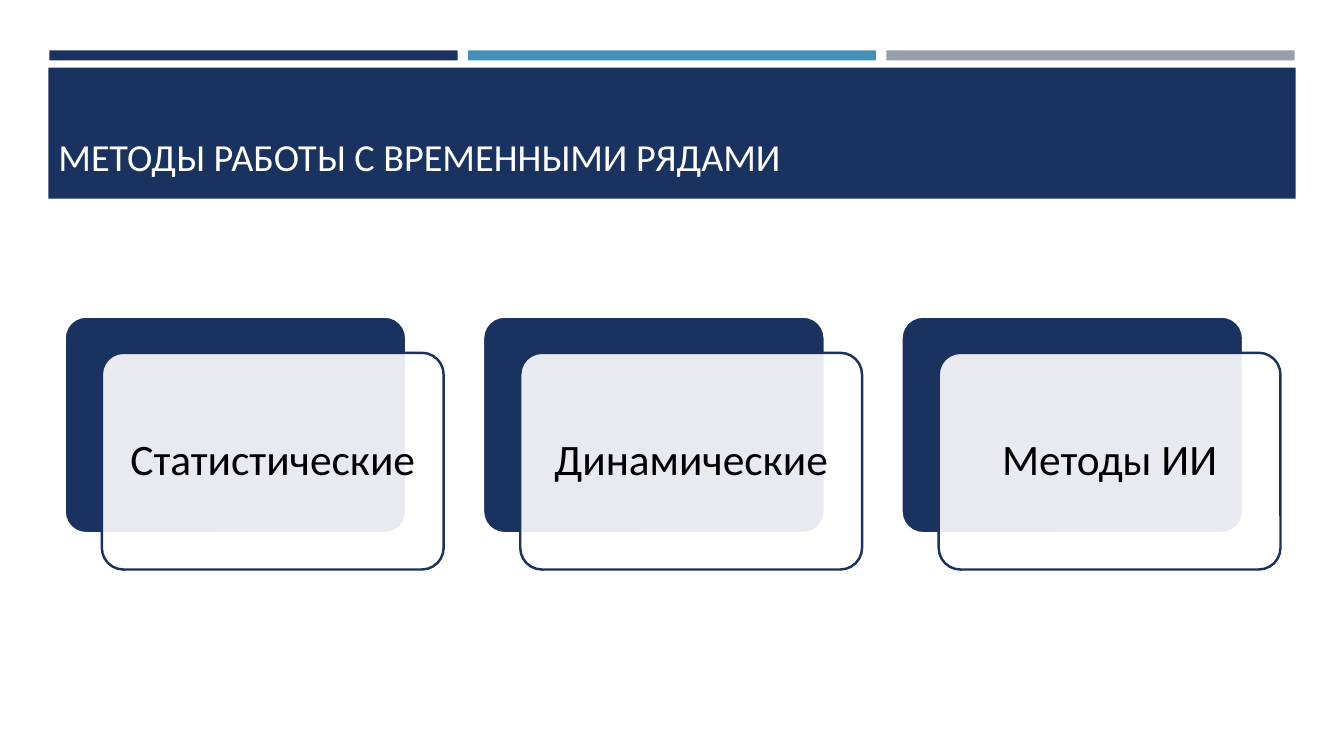
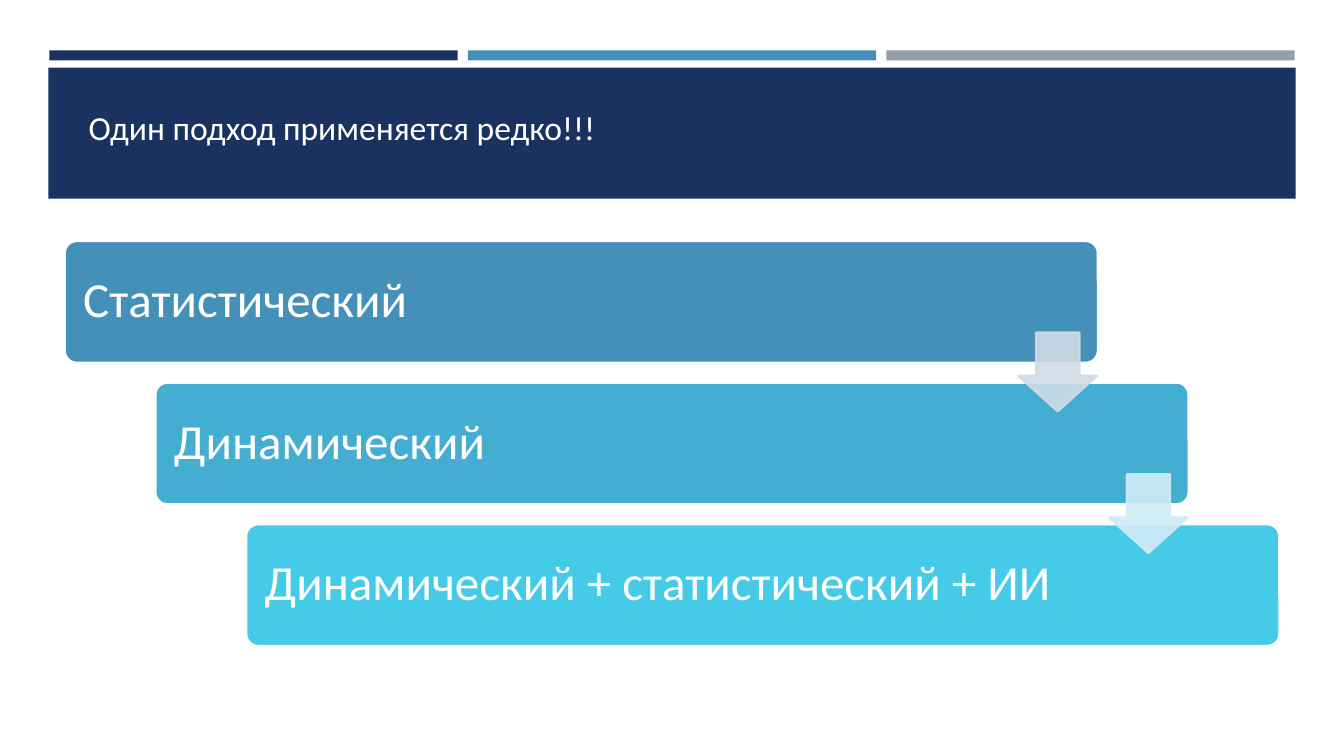
from dataclasses import dataclass

from lxml.etree import SubElement
from pptx import Presentation
from pptx.dml.color import RGBColor
from pptx.enum.shapes import MSO_SHAPE
from pptx.enum.text import MSO_ANCHOR, MSO_AUTO_SIZE, PP_ALIGN
from pptx.oxml.ns import qn
from pptx.util import Inches, Pt

# Content
METHODS_TITLE = "МЕТОДЫ РАБОТЫ С ВРЕМЕННЫМИ РЯДАМИ"
METHODS = ["Статистические", "Динамические", "Методы ИИ"]

STEPS_TITLE = "Один подход применяется редко!!!"
STEPS = [
    ("Статистический", "4590B8"),
    ("Динамический", "43ADD2"),
    ("Динамический + статистический + ИИ", "45CBE8"),
]
ARROW_COLORS = ["CFDBE6", "CFECF6"]


@dataclass(frozen=True)
class Theme:
    font: str = "Calibri"
    navy: str = "1A3260"
    blue: str = "4590B8"
    gray: str = "969FA7"
    white: str = "FFFFFF"
    black: str = "000000"
    title_size: float = 27.3
    remark_size: float = 24
    card_size: float = 31
    step_size: float = 35
    line_width: float = 1.75
    opacity: int = 90


THEME = Theme()


def set_opacity(color_parent):
    color = color_parent.find(f"{qn('a:solidFill')}/{qn('a:srgbClr')}")
    SubElement(color, qn("a:alpha")).set("val", str(THEME.opacity * 1000))


def add_shape(page, kind, left, top, width, height, fill, line=None, adjustments=()):
    shape = page.shapes.add_shape(
        kind, Inches(left), Inches(top), Inches(width), Inches(height))
    shape.shadow.inherit = False
    for index, value in enumerate(adjustments):
        shape.adjustments[index] = value
    shape.fill.solid()
    shape.fill.fore_color.rgb = RGBColor.from_string(fill)
    if line:
        shape.line.color.rgb = RGBColor.from_string(line)
        shape.line.width = Pt(THEME.line_width)
    else:
        shape.line.fill.background()
    return shape


def write(shape, text, size, color, align, anchor, inset=None):
    frame = shape.text_frame
    frame.word_wrap = True
    frame.auto_size = MSO_AUTO_SIZE.NONE
    frame.vertical_anchor = anchor
    if inset is not None:
        frame.margin_left = frame.margin_right = Inches(inset)
        frame.margin_top = frame.margin_bottom = Inches(inset)
    para = frame.paragraphs[0]
    para.text = text
    para.alignment = align
    para.line_spacing = 0.9 if inset is not None else 1.0
    para.font.name = THEME.font
    para.font.size = Pt(size)
    para.font.color.rgb = RGBColor.from_string(color)


def set_title(page, text, left, top, width, height, size, anchor):
    title = page.shapes.title
    title.left, title.top = Inches(left), Inches(top)
    title.width, title.height = Inches(width), Inches(height)
    write(title, text, size, THEME.white, PP_ALIGN.LEFT, anchor)


def decorate_layout(layout, page):
    """Draw the shared bars and title band, then move them to the layout."""
    bar_width, gap = 4.05, 0.1
    parts = [
        add_shape(page, MSO_SHAPE.RECTANGLE, 0.49 + index * (bar_width + gap), 0.5,
                  bar_width, 0.1, color)
        for index, color in enumerate([THEME.navy, THEME.blue, THEME.gray])
    ]
    parts.append(add_shape(page, MSO_SHAPE.RECTANGLE, 0.48, 0.67, 12.37, 1.3, THEME.navy))
    for position, part in enumerate(parts, start=2):
        layout.shapes.element.insert(position, part.element)


def build_methods(page):
    set_title(page, METHODS_TITLE, 0.48, 0.78, 12, 1.05,
              THEME.title_size, MSO_ANCHOR.BOTTOM)
    width, height, pitch = 3.39, 2.15, 4.15
    for index, method in enumerate(METHODS):
        left, top = 0.64 + index * pitch, 3.14
        add_shape(page, MSO_SHAPE.ROUNDED_RECTANGLE, left, top, width, height,
                  THEME.navy, THEME.white, [0.1])
        # Translucent card, shifted down and right
        card = add_shape(page, MSO_SHAPE.ROUNDED_RECTANGLE, left + 0.37, top + 0.36,
                         width, height, THEME.white, THEME.navy, [0.1])
        set_opacity(card.element.spPr)
        write(card, method, THEME.card_size, THEME.black,
              PP_ALIGN.CENTER, MSO_ANCHOR.MIDDLE, 0.13)


def build_steps(page):
    set_title(page, STEPS_TITLE, 0.78, 1.01, 6.67, 0.5,
              THEME.remark_size, MSO_ANCHOR.TOP)
    first_top, last_top = 2.39, 5.2
    pitch = (last_top - first_top) / (len(STEPS) - 1)
    corners = [(0.64 + index * 0.9, first_top + index * pitch)
               for index in range(len(STEPS))]
    for (left, top), (text, color) in zip(corners, STEPS):
        step = add_shape(page, MSO_SHAPE.ROUNDED_RECTANGLE, left, top, 10.25, 1.21,
                         color, THEME.white, [0.1])
        write(step, text, THEME.step_size, THEME.white,
              PP_ALIGN.LEFT, MSO_ANCHOR.MIDDLE, 0.15)
    # Arrows overlap each pair of neighbouring steps
    for (left, top), color in zip(corners, ARROW_COLORS):
        arrow = add_shape(page, MSO_SHAPE.DOWN_ARROW, left + 9.46, top + 0.91,
                          0.78, 0.78, color, color)
        # Shaft width is 55 % of the arrow, head length 45 %
        arrow.adjustments[0], arrow.adjustments[1] = 0.55, 0.45
        set_opacity(arrow.element.spPr)
        set_opacity(arrow.element.spPr.find(qn("a:ln")))


def main():
    deck = Presentation()
    deck.slide_width, deck.slide_height = Inches(13.33), Inches(7.5)
    layout = deck.slide_layouts.get_by_name("Title Only")
    pages = [deck.slides.add_slide(layout) for _ in range(2)]
    decorate_layout(layout, pages[0])
    build_methods(pages[0])
    build_steps(pages[1])
    deck.save("out.pptx")


if __name__ == "__main__":
    main()
